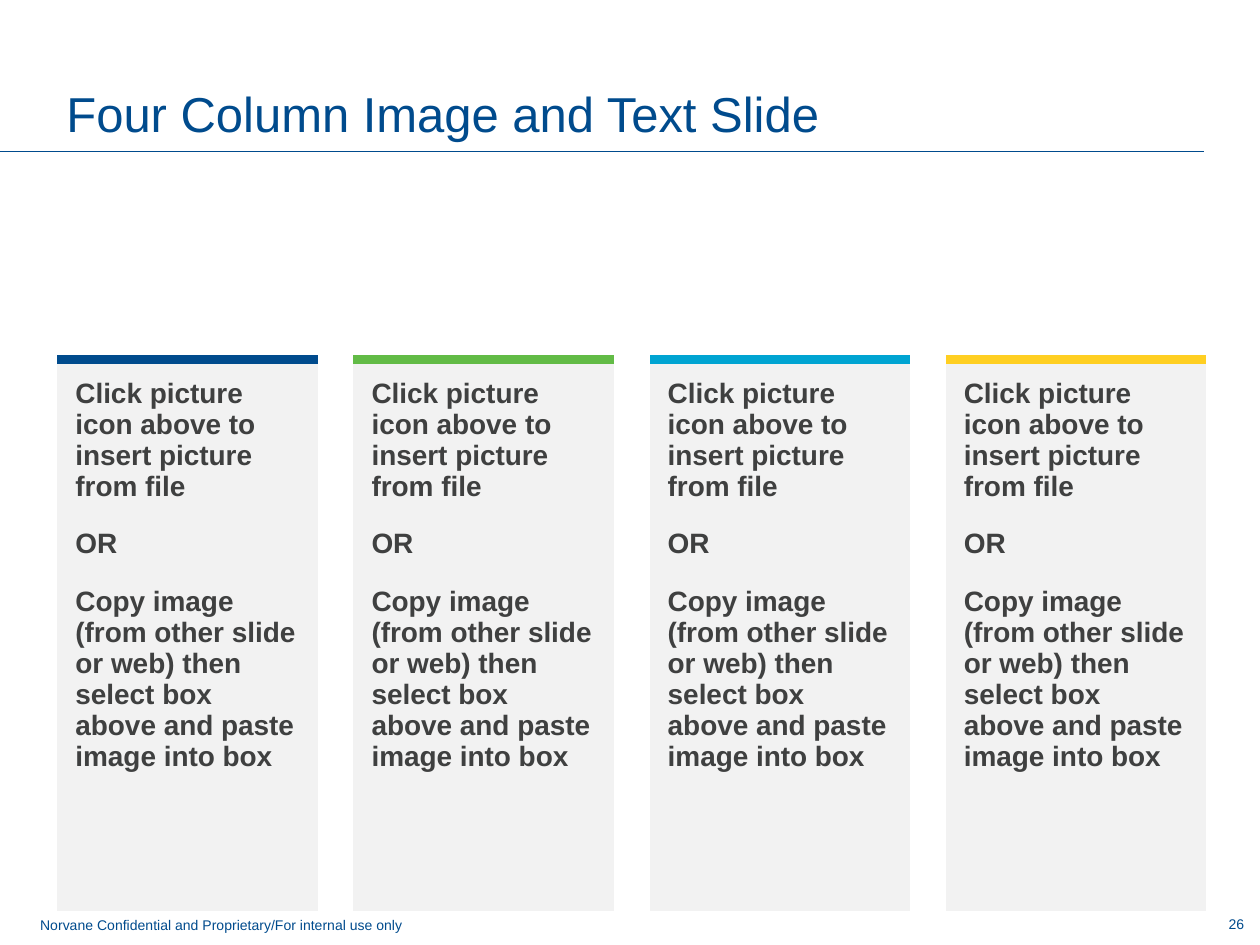
from lxml.etree import SubElement
from pptx import Presentation
from pptx.dml.color import RGBColor
from pptx.enum.shapes import MSO_CONNECTOR
from pptx.enum.text import MSO_ANCHOR as Anchor, PP_ALIGN as Align
from pptx.oxml.ns import qn
from pptx.util import Cm, Pt

BLUE, GREEN, CYAN, YELLOW = "004B8D", "62BB46", "00A4D2", "FFCF22"
GREY, PANEL, WHITE = "3F4040", "F2F2F2", "FFFFFF"
STEPS = [
    "Click picture icon above to insert picture from file",
    "OR",
    "Copy image (from other slide or web) then select box above and paste image into box",
]


def rgb(value):
    return RGBColor.from_string(value)


def apply(obj, formats):
    for name, value in formats.items():
        setattr(obj, name, value)


class Deck:
    font = "Arial"

    def __init__(self, width, height):
        self.prs = Presentation()
        apply(self.prs, {"slide_width": Cm(width), "slide_height": Cm(height)})
        self.s = self.prs.slides.add_slide(self.prs.slide_layouts[6])

    def add_lines(self, tf, lines, size, color, bold=False, **para):
        """Fill a text frame with one paragraph per line."""
        tf.word_wrap = True
        for i, line in enumerate(lines):
            p = tf.add_paragraph() if i else tf.paragraphs[0]
            apply(p, para)
            r = p.add_run()
            r.text = line
            apply(r.font, {"name": self.font, "size": Pt(size), "bold": bold})
            r.font.color.rgb = rgb(color)

    def text(self, box, line, size, color, anchor=Anchor.TOP, **para):
        tf = self.s.shapes.add_textbox(*map(Cm, box)).text_frame
        tf.vertical_anchor = anchor
        self.add_lines(tf, [line], size, color, **para)

    def rule(self, x1, y1, x2, y2, color, width):
        sp = self.s.shapes.add_connector(MSO_CONNECTOR.STRAIGHT, *map(Cm, (x1, y1, x2, y2)))
        sp.line.color.rgb = rgb(color)
        sp.line.width = Pt(width)
        SubElement(sp._element.spPr, qn("a:effectLst"))

    def border(self, cell, side, color, width):
        ln = SubElement(cell._tc.get_or_add_tcPr(), qn(f"a:ln{side}"), w=str(Pt(width)))
        fill = SubElement(ln, qn("a:solidFill"))
        SubElement(fill, qn("a:srgbClr"), val=color)

    def panel(self, box, lines, accent):
        """Add a one-cell table with a coloured top edge."""
        table = self.s.shapes.add_table(1, 1, *map(Cm, box)).table
        apply(table, {"first_row": False, "horz_banding": False})
        cell = table.cell(0, 0)
        apply(cell, {f"margin_{side}": Cm(0.38) for side in ("left", "right", "top", "bottom")})
        for side, color, width in (("L", WHITE, 1), ("R", WHITE, 1), ("T", accent, 6), ("B", WHITE, 3)):
            self.border(cell, side, color, width)
        cell.fill.solid()
        cell.fill.fore_color.rgb = rgb(PANEL)
        self.add_lines(cell.text_frame, lines, 16, GREY, bold=True,
                       space_before=Pt(3), space_after=Pt(12))


def main():
    deck = Deck(25.4, 19.05)
    deck.rule(0, 3.05, 24.28, 3.05, BLUE, 0.75)
    deck.text((23.83, 18.36, 1.5, 0.53), "26", 8, BLUE, Anchor.MIDDLE, alignment=Align.RIGHT)
    deck.text((1.09, 0.36, 23.22, 2.64), "Four Column Image and Text Slide", 28, BLUE,
              Anchor.BOTTOM, line_spacing=0.85)
    left, pitch = 1.14, 5.97
    for i, accent in enumerate((BLUE, GREEN, CYAN, YELLOW)):
        deck.panel((left + i * pitch, 7.24, 5.28, 11.18), STEPS, accent)
    deck.text((0.56, 18.36, 23.16, 0.69),
              "Norvane Confidential and Proprietary/For internal use only", 8, BLUE)
    deck.prs.save("out.pptx")


if __name__ == "__main__":
    main()
